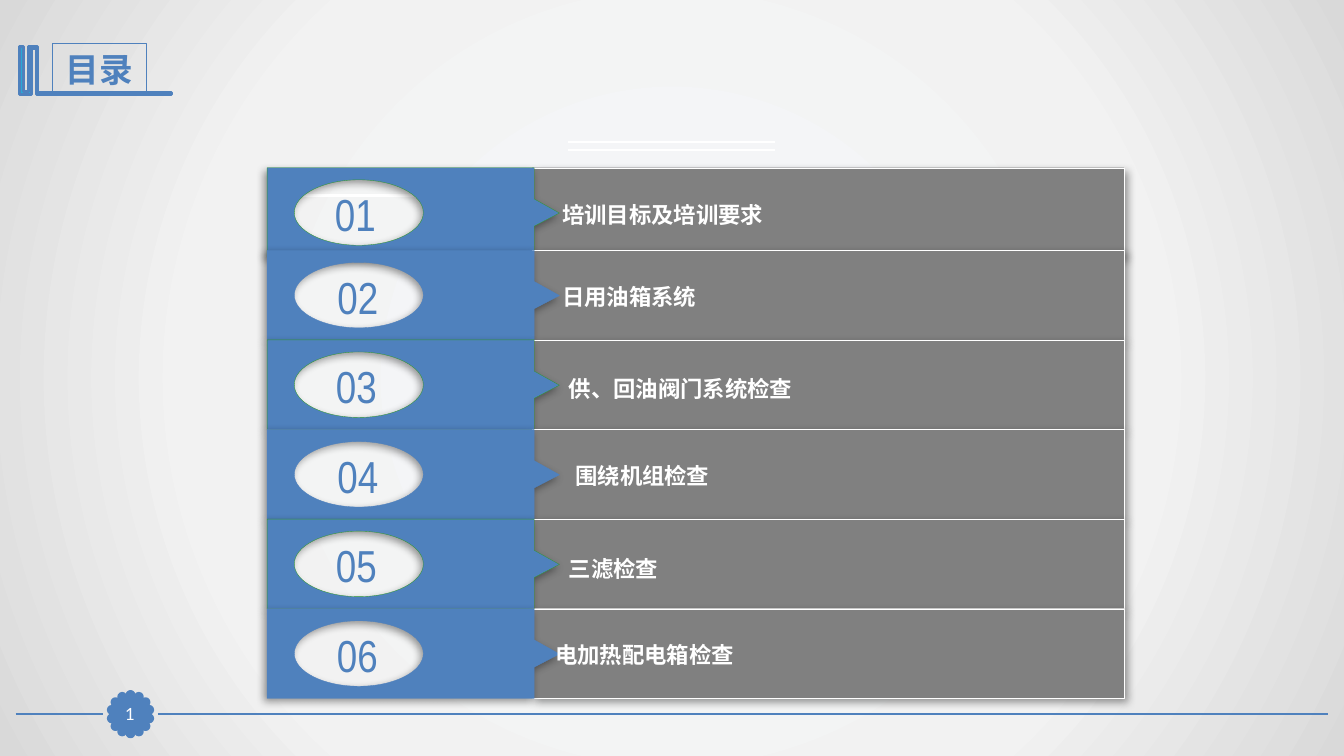
from collections import namedtuple
from math import cos, pi, sin

from lxml import etree
from pptx import Presentation, util as u
from pptx.dml.color import RGBColor
from pptx.enum import shapes, text
from pptx.oxml import parse_xml
from pptx.oxml.ns import nsdecls, qn

BLUE = RGBColor(0x4F, 0x81, 0xBD)
CYAN = RGBColor(0x28, 0xA9, 0xD6)
GREEN = RGBColor(0x33, 0x99, 0x33)
GRAY = RGBColor(0x80, 0x80, 0x80)
WHITE = RGBColor(0xFF, 0xFF, 0xFF)
BACKDROP = ((0, "F6F9FC"), (63, "F2F2F2"), (100, "D9D9D9"))

# The page is a grid of 133.33 columns by 75 rows of square cells.
COLUMNS, ROWS = 133.33, 75
CELL = u.Inches(0.1)

Box = namedtuple("Box", "left top width height")
Entry = namedtuple("Entry", "title edge number_center label_left label_top")

ENTRIES = (
    Entry("培训目标及培训要求", GREEN, 8.75, 28.3, 2.8),
    Entry("日用油箱系统", BLUE, 9, 28.3, 2.75),
    Entry("供、回油阀门系统检查", GREEN, 8.85, 28.95, 3.05),
    Entry("围绕机组检查", BLUE, 9, 29.6, 2.7),
    Entry("三滤检查", GREEN, 8.85, 28.95, 3.05),
    Entry("电加热配电箱检查", BLUE, 8.95, 27.6, 2.7),
)


def cells(*lengths):
    return [round(length * CELL) for length in lengths]


def paint(shape, fill, edge, width, shadow_angle=None):
    shape.shadow.inherit = False
    if fill is None:
        shape.fill.background()
    else:
        shape.fill.solid()
        shape.fill.fore_color.rgb = fill
    shape.line.color.rgb = edge
    shape.line.width = u.Pt(width)
    if shadow_angle is not None:
        effects = shape._element.spPr.find(qn("a:effectLst"))
        effects.append(parse_xml(
            f'<a:outerShdw {nsdecls("a")} blurRad="{u.Pt(6)}" dist="{u.Pt(3)}" '
            f'dir="{shadow_angle * 60000}" algn="ctr" rotWithShape="0">'
            '<a:srgbClr val="000000"><a:alpha val="40000"/></a:srgbClr>'
            '</a:outerShdw>'))


def add_preset(holder, kind, box, *look):
    shape = holder.shapes.add_shape(kind, *cells(*box))
    paint(shape, *look)
    return shape


def add_outline(page, box, points, *look):
    """Draw a closed outline whose points are offsets from the box corner."""
    placed = [cells(box.left + x, box.top + y) for x, y in points]
    builder = page.shapes.build_freeform(*placed[0])
    builder.add_line_segments(placed[1:], close=True)
    shape = builder.convert_to_shape()
    paint(shape, *look)
    return shape


def cut_oval(shape, center_x, center_y, radius_x, radius_y):
    """Cut an oval window of four curves out of a freeform."""
    outline = next(shape._element.iter(qn("a:path")))
    bend = 0.55
    quarters = (((0, -1),),
                ((-bend, -1), (-1, -bend), (-1, 0)),
                ((-1, bend), (-bend, 1), (0, 1)),
                ((bend, 1), (1, bend), (1, 0)),
                ((1, -bend), (bend, -1), (0, -1)))
    for index, points in enumerate(quarters):
        tag = "a:cubicBezTo" if index else "a:moveTo"
        segment = etree.SubElement(outline, qn(tag))
        for x, y in points:
            across, down = cells(center_x + x * radius_x, center_y + y * radius_y)
            etree.SubElement(segment, qn("a:pt"), x=str(across), y=str(down))
    etree.SubElement(outline, qn("a:close"))


def add_rule(page, left, right, row, color, width):
    rule = page.shapes.add_connector(
        shapes.MSO_CONNECTOR.STRAIGHT, *cells(left, row, right, row))
    rule.line.color.rgb = color
    rule.line.width = u.Pt(width)
    etree.SubElement(rule._element.spPr, qn("a:effectLst"))


def write(shape, wording, align, anchor, font, margin=None):
    frame = shape.text_frame
    settings = {"word_wrap": True, "vertical_anchor": anchor}
    if margin is not None:
        for side in ("left", "top", "right", "bottom"):
            settings[f"margin_{side}"] = margin
    for name, value in settings.items():
        setattr(frame, name, value)
    para = frame.paragraphs[0]
    para.alignment = align
    span = para.add_run()
    span.text = wording
    style = dict(font)
    span.font.color.rgb = style.pop("color")
    for name, value in style.items():
        setattr(span.font, name, value)


def set_backdrop(page):
    fill = page.background.fill
    fill.solid()
    stops = "".join(
        f'<a:gs pos="{share * 1000}"><a:srgbClr val="{color}"/></a:gs>'
        for share, color in BACKDROP)
    gradient = parse_xml(
        f'<a:gradFill {nsdecls("a")} rotWithShape="1"><a:gsLst>{stops}</a:gsLst>'
        '<a:path path="circle"><a:fillToRect l="50000" t="50000" r="50000" '
        'b="50000"/></a:path></a:gradFill>')
    solid = page._element.cSld.bg.bgPr.find(qn("a:solidFill"))
    solid.getparent().replace(solid, gradient)


def add_footer(page, box):
    """Draw the bottom rule, broken by a scalloped seal."""
    middle = box.top + box.height / 2
    add_rule(page, box.left + 14.1, box.left + box.width, middle, BLUE, 1.25)
    add_rule(page, box.left, box.left + 8.7, middle, BLUE, 1.25)
    center, radius, dot, scallops = box.left + 11.4, 1.9, 0.7, 14
    seal = page.shapes.add_group_shape()
    for step in range(scallops):
        angle = 2 * pi * step / scallops
        place = Box(center + radius * sin(angle) - dot / 2,
                    middle - radius * cos(angle) - dot / 2, dot, dot)
        add_preset(seal, shapes.MSO_SHAPE.OVAL, place, BLUE, BLUE, 2)


def add_page_number(page, box):
    plate = add_preset(page, shapes.MSO_SHAPE.RECTANGLE, box, BLUE, BLUE, 0.75)
    write(plate, "1", text.PP_ALIGN.CENTER, text.MSO_ANCHOR.MIDDLE,
          {"size": u.Pt(12), "name": "Lato", "color": WHITE}, 0)


def add_heading(page, box):
    low, ledge = box.height, box.height - 0.2
    bookmark = ((0, 0), (0.4, 0), (0.4, 4.5), (0.9, 4.5), (0.9, 0), (1.85, 0),
                (1.85, ledge), (box.width, ledge), (box.width, low), (1.7, low),
                (1.7, 0.2), (1.2, 0.2), (1.2, low), (0, low))
    add_outline(page, box, bookmark, CYAN, BLUE, 2)
    frame = add_preset(page, shapes.MSO_SHAPE.RECTANGLE,
                       Box(box.left + 3.3, box.top - 0.3, 9.3, 5.1),
                       None, BLUE, 0.75)
    write(frame, "目录", text.PP_ALIGN.CENTER, text.MSO_ANCHOR.MIDDLE,
          {"size": u.Pt(24), "name": "Arial Narrow", "bold": True, "color": BLUE})


def add_entry(page, box, number, entry):
    """Draw one row: gray bar, blue tab with an oval window, number and title."""
    add_preset(page, shapes.MSO_SHAPE.RECTANGLE,
               Box(box.left + 26.3, box.top, box.width - 26.3, box.height),
               GRAY, WHITE, 0.25, 45)
    outline = ((0, 0), (26.5, 0), (26.5, 3.1), (29, 4.5), (26.5, 5.8),
               (26.5, box.height), (0, box.height))
    tab = add_outline(page, box, outline, BLUE, entry.edge, 0.25, 135)
    cut_oval(tab, 9.1, 4.45, 6.4, 3.25)
    numeral = page.shapes.add_textbox(*cells(
        box.left + entry.number_center - 5, box.top + 1.35, 10, 6.4))
    write(numeral, f"{number:02}", text.PP_ALIGN.CENTER, text.MSO_ANCHOR.MIDDLE,
          {"size": u.Pt(32), "name": "Arial Narrow", "color": BLUE})
    label = page.shapes.add_textbox(*cells(
        box.left + entry.label_left, box.top + entry.label_top, 56.1, 3.7))
    write(label, entry.title, text.PP_ALIGN.LEFT, text.MSO_ANCHOR.TOP,
          {"size": u.Pt(16), "name": "Lato", "bold": True, "color": WHITE})


def add_contents(page, box):
    """Stack the entries upwards from the box bottom; the first sits at its top."""
    height = 8.89
    for left, row in ((56.4, 14.1), (26.5, 19.4), (56.4, 14.9)):
        add_rule(page, left, left + 20.5, row, WHITE, 1.5)
    for index, entry in enumerate(ENTRIES):
        above = box.top + box.height - height * (len(ENTRIES) - index)
        top = max(box.top, above)
        add_entry(page, Box(box.left, top, box.width, height), index + 1, entry)


def main():
    deck = Presentation()
    deck.slide_width, deck.slide_height = cells(COLUMNS, ROWS)
    page = deck.slides.add_slide(deck.slide_layouts[6])
    set_backdrop(page)
    add_footer(page, Box(1.55, 68.55, 130.2, 4.6))
    add_heading(page, Box(1.9, 4.6, 15.1, 4.8))
    add_page_number(page, Box(11.3, 69.3, 3.2, 3.1))
    add_contents(page, Box(26.5, 16.64, 85, 52.64))
    deck.save("out.pptx")


if __name__ == "__main__":
    main()
